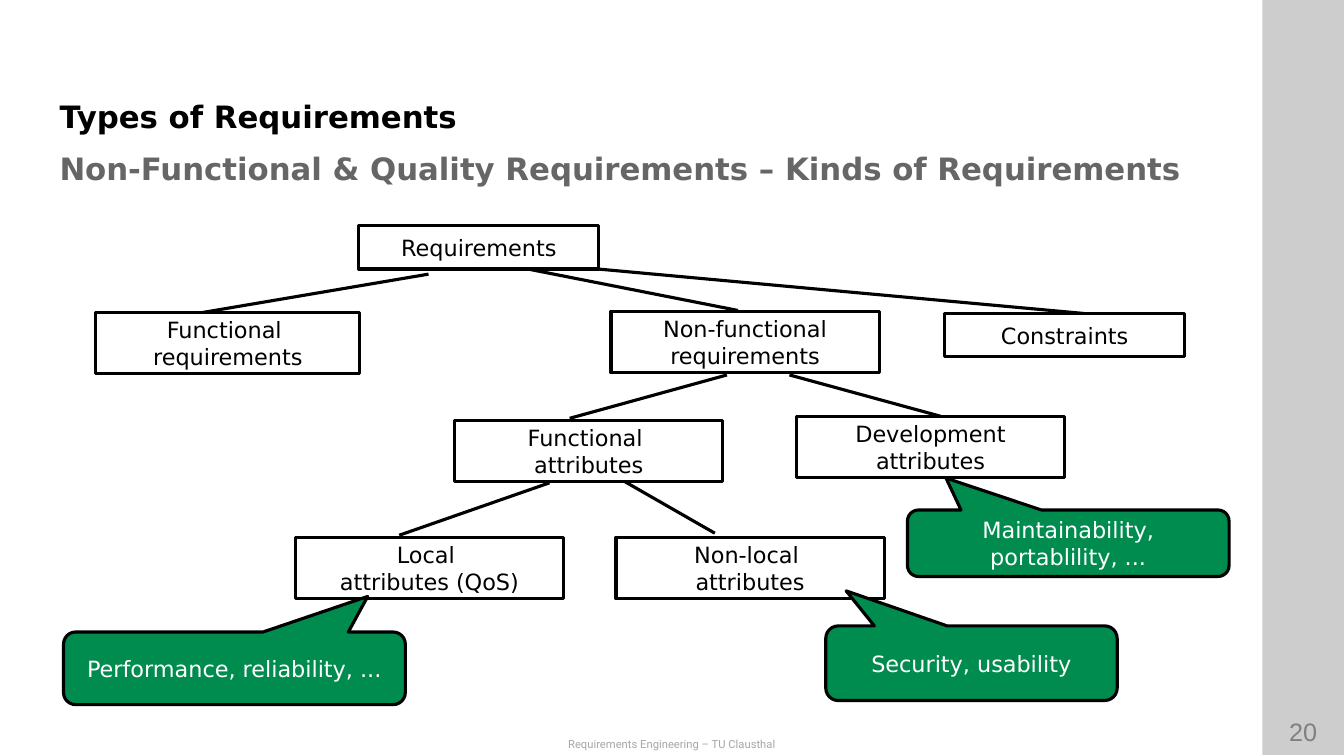
"""Build the slide showing the tree of requirement kinds."""
from lxml.etree import SubElement
from pptx import Presentation
from pptx.dml.color import RGBColor
from pptx.enum.shapes import MSO_CONNECTOR, MSO_SHAPE
from pptx.enum.text import MSO_ANCHOR, MSO_AUTO_SIZE, PP_ALIGN
from pptx.oxml.ns import qn
from pptx.util import Inches, Pt

CELL = Inches(0.01)
COLS, ROWS = 1333, 750
SANS = "DejaVu Sans"


def rgb(hex_color):
    return RGBColor.from_string(hex_color)


def write(sp, text, color, size=16, name=SANS, bold=False, align=PP_ALIGN.CENTER, **frame):
    tf = sp.text_frame
    for key, value in {"auto_size": MSO_AUTO_SIZE.NONE, "word_wrap": True,
                       "vertical_anchor": MSO_ANCHOR.MIDDLE, **frame}.items():
        setattr(tf, key, value)
    p = tf.paragraphs[0]
    p.text = text
    p.alignment, p.space_before = align, Pt(0)
    for r in p.runs:
        for key, value in {"size": Pt(size), "name": name, "bold": bold}.items():
            setattr(r.font, key, value)
        r.font.color.rgb = rgb(color)


prs = Presentation()
prs.slide_width, prs.slide_height = COLS * CELL, ROWS * CELL
s = prs.slides.add_slide(prs.slide_layouts[0])

side = s.shapes.add_shape(MSO_SHAPE.RECTANGLE, 1252 * CELL, 0, 81 * CELL, 749 * CELL)
side.shadow.inherit = False
side.fill.solid()
side.fill.fore_color.rgb = rgb("CDCDCD")
side.line.fill.background()

headings = [
    ("Types of Requirements", "000000", 79, MSO_ANCHOR.BOTTOM),
    ("Non-Functional & Quality Requirements – Kinds of Requirements", "666666", 139, MSO_ANCHOR.MIDDLE),
]
flush = dict.fromkeys(("margin_left", "margin_top", "margin_right", "margin_bottom"), 0)
for sp, (text, color, top, anchor) in zip(s.placeholders, headings):
    sp.left, sp.top, sp.width, sp.height = (v * CELL for v in (59, top, 1133, 55))
    write(sp, text, color, 22, bold=True, align=PP_ALIGN.LEFT, vertical_anchor=anchor, **flush)

page_marks = [
    ("20", "808080", 18, "Arial", (1251, 706, 83, 40)),
    ("Requirements Engineering – TU Clausthal", "A6A6A6", 8, "Roboto", (0, 727, COLS, 23)),
]
for text, color, size, name, at in page_marks:
    sp = s.shapes.add_textbox(*(v * CELL for v in at))
    write(sp, text, color, size, name, vertical_anchor=MSO_ANCHOR.TOP)

branches = [
    (425, 272, 201, 310), (524, 267, 732, 308), (594, 267, 1075, 311),
    (721, 372, 565, 415), (783, 372, 933, 413),
    (545, 479, 396, 531), (620, 478, 709, 529),
]
for ends in branches:
    line = s.shapes.add_connector(MSO_CONNECTOR.STRAIGHT, *(v * CELL for v in ends))
    line.line.width = Pt(2.25)
    line.line.color.rgb = rgb("000000")
    SubElement(line._element.spPr, qn("a:effectLst"))

ONE_LINE, TWO_LINES = (238, 43), (266, 61)
nodes = [
    ("Requirements", 356, 224, ONE_LINE),
    ("Functional \nrequirements", 95, 310, (262, 61)),
    ("Non-functional\nrequirements", 606, 309, TWO_LINES),
    ("Constraints", 937, 311, ONE_LINE),
    ("Functional \nattributes", 451, 417, TWO_LINES),
    ("Development\nattributes", 790, 413, TWO_LINES),
    ("Local \nattributes (QoS)", 293, 533, TWO_LINES),
    ("Non-local \nattributes", 611, 533, TWO_LINES),
]
callouts = [
    ("Performance, reliability, ...", 63, 627, (339, 72), (0.39, -0.99)),
    ("Security, usability", 819, 621, (289, 74), (-0.43, -0.97)),
    ("Maintainability, portablility, ...", 900, 506, (319, 66), (-0.38, -0.98)),
]
for text, left, top, size, *tip in nodes + callouts:
    kind = MSO_SHAPE.ROUNDED_RECTANGULAR_CALLOUT if tip else MSO_SHAPE.RECTANGLE
    sp = s.shapes.add_shape(kind, *(v * CELL for v in (left, top, *size)))
    sp.shadow.inherit = False
    sp.line.width = Pt(2.25)
    sp.line.color.rgb = rgb("000000")
    if tip:
        sp.adjustments[0], sp.adjustments[1] = tip[0]
        sp.fill.solid()
        sp.fill.fore_color.rgb = rgb("008C4F")
    else:
        sp.fill.background()
    write(sp, text, "FFFFFF" if tip else "000000", word_wrap=bool(tip))

prs.save("out.pptx")
